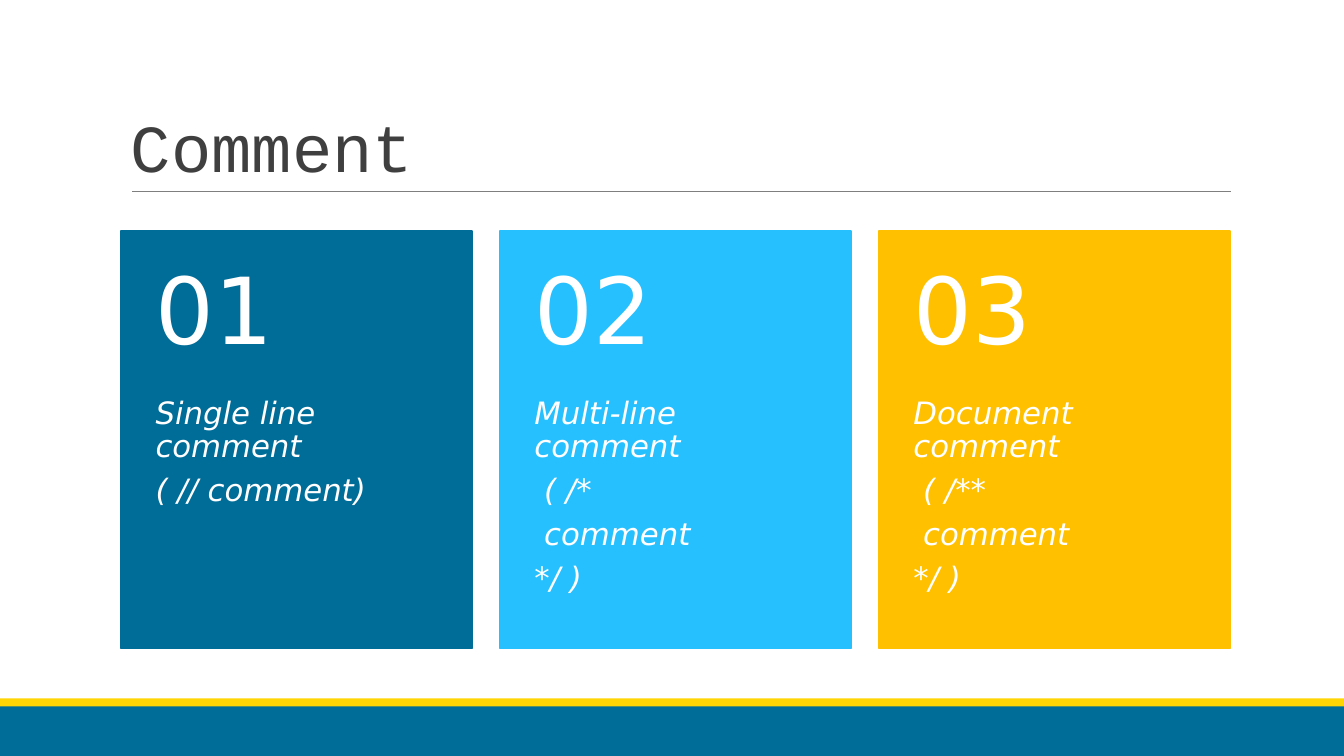
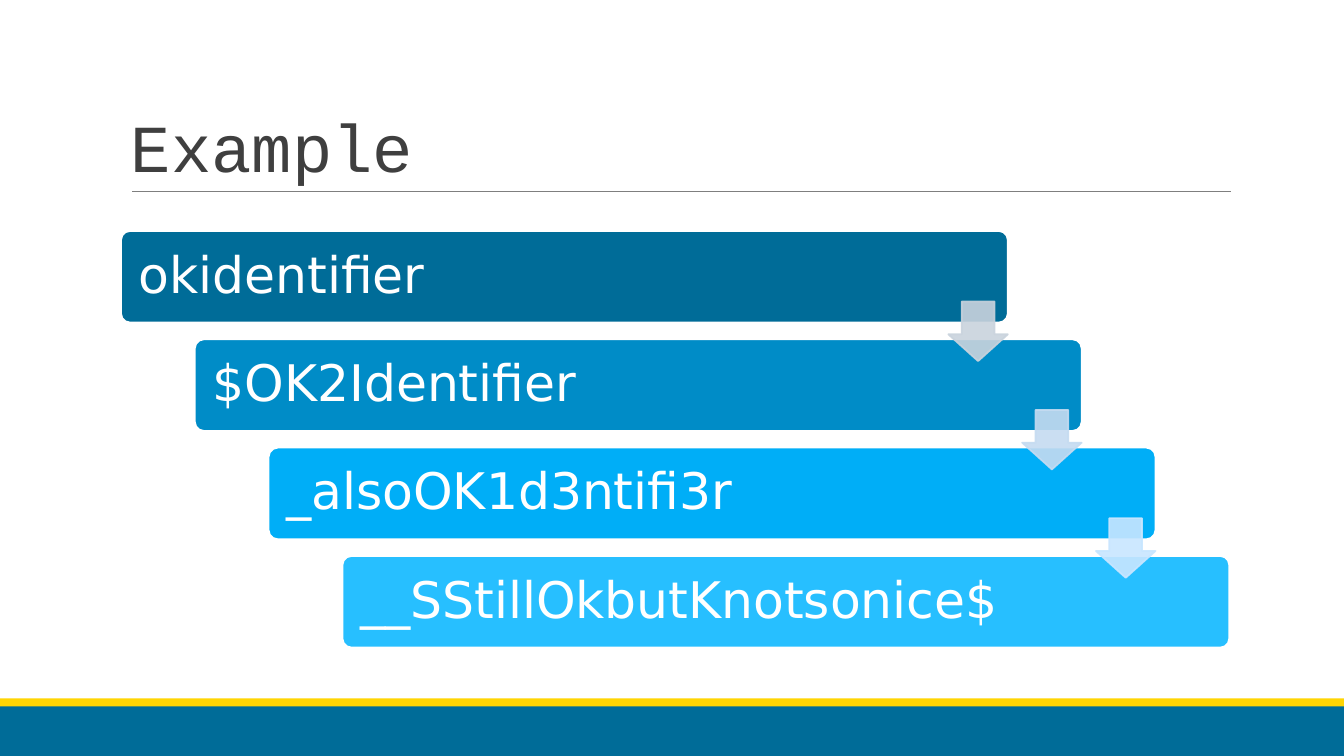
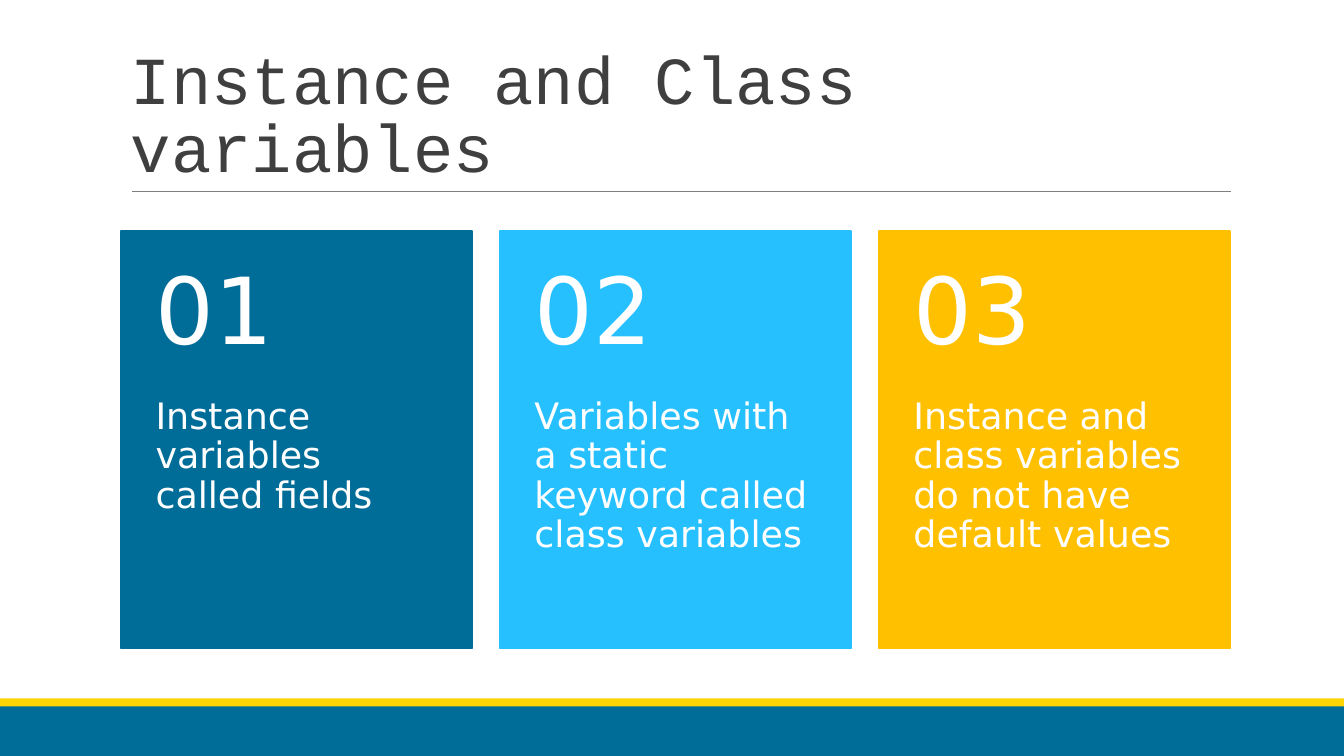
from pptx import Presentation
from pptx.dml.color import RGBColor
from pptx.enum import shapes, text
from pptx.oxml.ns import qn
from pptx.util import Cm, Pt
from lxml import etree

COLORS = {
    "blue": "006C98", "mid": "008CC7", "bright": "00AEF7", "sky": "27BFFF",
    "light": "27C0FF", "amber": "FFC000", "stripe": "FFD503",
    "white": "FFFFFF", "title": "3F3F3F", "rule": "7F7F7F",
    "arrow1": "C9D3DD", "arrow2": "C5DBF1", "arrow3": "C8E6FF",
}
TITLE_FONT, BODY_FONT = "Courier New", "DejaVu Sans"
WIDTH, HEIGHT = 33.87, 19.05
LEFT, TOP = 3.05, 5.82
CARD_W, CARD_STEP, NUMBER_H, BODY_H = 8.84, 9.55, 4.21, 6.31
BAR_W, BAR_H, BAR_DX, BAR_DY = 22.35, 2.31, 1.86, 2.73
ARROW, ARROW_DROP = 1.5, 1.78


def rgb(name):
    return RGBColor.from_string(COLORS[name])


def write(sp, lines, size, font=BODY_FONT, color="white", italic=False,
          anchor=text.MSO_ANCHOR.TOP, insets=(0, 0, 0, 0), spacing=0.9, gap=0):
    """Fill a shape with paragraphs; insets are left, top, right, bottom in cm."""
    tf = sp.text_frame
    tf.word_wrap = True
    tf.vertical_anchor = anchor
    tf.margin_left, tf.margin_top, tf.margin_right, tf.margin_bottom = map(Cm, insets)
    for i, line in enumerate(lines):
        p = tf.add_paragraph() if i else tf.paragraphs[0]
        p.alignment = text.PP_ALIGN.LEFT
        p.line_spacing = spacing
        if i:
            p.space_before = Pt(gap)
        r = p.add_run()
        r.text = line
        r.font.name, r.font.size, r.font.italic = font, Pt(size), italic
        r.font.color.rgb = rgb(color)


def add_text(slide, box, lines, size, **fmt):
    write(slide.shapes.add_textbox(*map(Cm, box)), lines, size, **fmt)


def add_block(slide, kind, box, fill, line=None, adjust=(), opacity=100):
    sp = slide.shapes.add_shape(kind, *map(Cm, box))
    sp.shadow.inherit = False
    for i, value in enumerate(adjust):
        sp.adjustments[i] = value
    sp.fill.solid()
    sp.fill.fore_color.rgb = rgb(fill)
    if line:
        sp.line.color.rgb = rgb(line)
        sp.line.width = Pt(1.25)
    else:
        sp.line.fill.background()
    if opacity < 100:
        for clr in sp._element.spPr.iter(qn("a:srgbClr")):
            etree.SubElement(clr, qn("a:alpha")).set("val", str(opacity * 1000))
    return sp


def add_rule(slide, x1, x2, y):
    rule = slide.shapes.add_connector(
        shapes.MSO_CONNECTOR.STRAIGHT, Cm(x1), Cm(y), Cm(x2), Cm(y))
    rule.line.color.rgb = rgb("rule")
    rule.line.width = Pt(0.75)
    etree.SubElement(rule._element.spPr, qn("a:effectLst"))


def new_slide(prs, title):
    """Add a slide with the shared footer bands, title and rule."""
    slide = prs.slides.add_slide(prs.slide_layouts[6])
    rect = shapes.MSO_SHAPE.RECTANGLE
    add_block(slide, rect, (0, 17.78, WIDTH, 1.27), "blue")
    add_block(slide, rect, (0, 17.6, WIDTH, 0.2), "stripe")
    add_rule(slide, 3.33, 31.01, 4.83)
    add_text(slide, (LEFT, 0.79, 27.94, 4.04), [title], 48, font=TITLE_FONT,
             color="title", anchor=text.MSO_ANCHOR.BOTTOM,
             insets=(0.25, 0.13, 0.25, 0.13), spacing=0.85)
    return slide


def add_cards(slide, bodies, size, italic=False):
    """Place numbered cards side by side, one per list of body lines."""
    for i, (body, color) in enumerate(zip(bodies, ("blue", "light", "amber"))):
        x = LEFT + i * CARD_STEP
        add_block(slide, shapes.MSO_SHAPE.RECTANGLE,
                  (x, TOP, CARD_W, NUMBER_H + BODY_H), color, line=color)
        add_text(slide, (x, TOP + NUMBER_H, CARD_W, BODY_H), body, size,
                 italic=italic, insets=(0.87, 0, 0.87, 0.91), gap=7.7)
        add_text(slide, (x, TOP, CARD_W, NUMBER_H), [f"{i + 1:02}"], 66,
                 anchor=text.MSO_ANCHOR.MIDDLE, insets=(0.87, 0.46, 0.87, 0.46))


def add_staircase(slide, labels):
    """Place bars stepping down to the right, joined by arrows."""
    corners = [(LEFT + i * BAR_DX, TOP + i * BAR_DY) for i in range(len(labels))]
    fills = ("blue", "mid", "bright", "sky")
    for (x, y), label, fill in zip(corners, labels, fills):
        bar = add_block(slide, shapes.MSO_SHAPE.ROUNDED_RECTANGLE,
                        (x, y, BAR_W, BAR_H), fill, line="white", adjust=(0.1,))
        write(bar, [label], 36, anchor=text.MSO_ANCHOR.MIDDLE,
              insets=(0.38, 0.38, 0.38, 0.38))
    for (x, y), color in zip(corners, ("arrow1", "arrow2", "arrow3")):
        add_block(slide, shapes.MSO_SHAPE.DOWN_ARROW,
                  (x + BAR_W - ARROW, y + ARROW_DROP, ARROW, ARROW), color,
                  line=color, adjust=(0.55, 0.45), opacity=90)


def main():
    prs = Presentation()
    prs.slide_width, prs.slide_height = Cm(WIDTH), Cm(HEIGHT)

    add_cards(new_slide(prs, "Comment"), [
        ["Single line comment", "( // comment)"],
        ["Multi-line comment", " ( /*", " comment", "*/ )"],
        ["Document comment", " ( /**", " comment", "*/ )"],
    ], 22, italic=True)

    add_staircase(new_slide(prs, "Example"), [
        "okidentifier", "$OK2Identifier", "_alsoOK1d3ntifi3r",
        "__SStillOkbutKnotsonice$",
    ])

    add_cards(new_slide(prs, "Instance and Class variables"), [
        ["Instance variables called fields"],
        ["Variables with a static keyword called class variables"],
        ["Instance and class variables do not have default values"],
    ], 26)

    prs.save("out.pptx")


if __name__ == "__main__":
    main()
